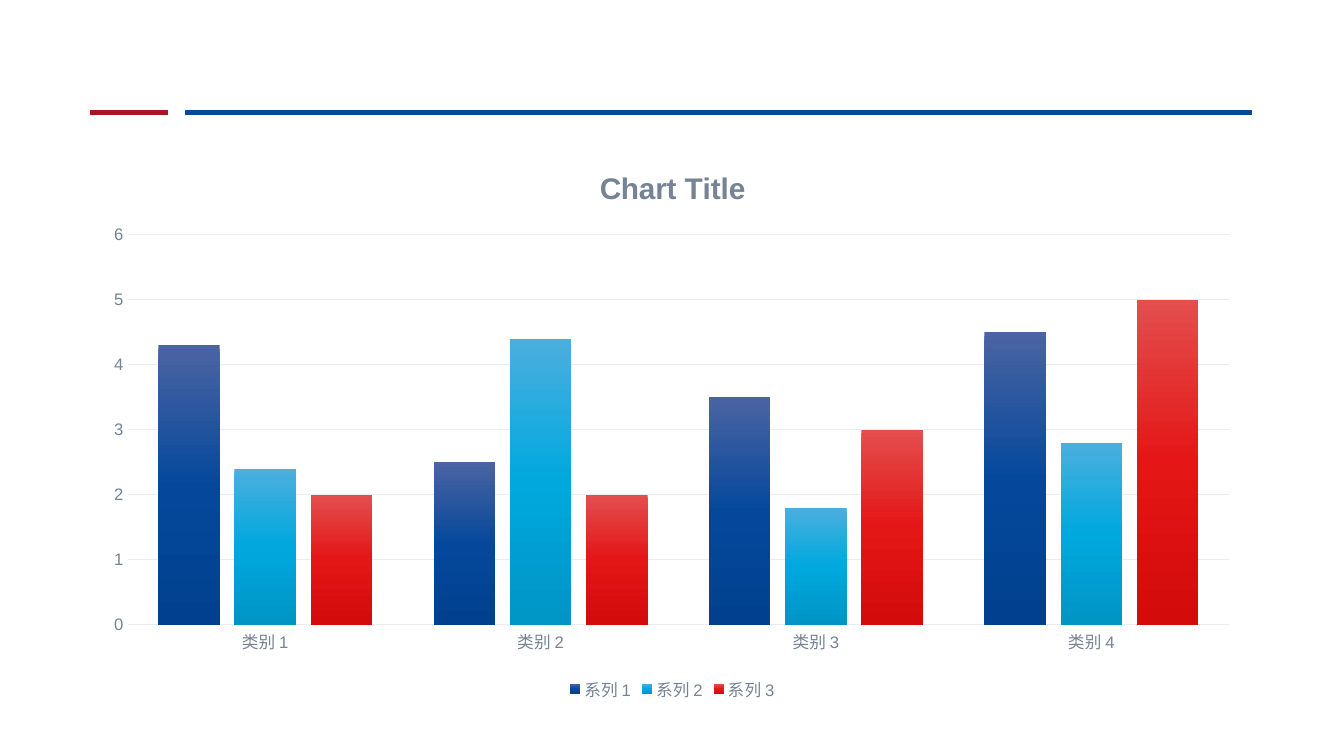
from copy import deepcopy
from dataclasses import dataclass

from pptx import Presentation
from pptx.chart.chart import Chart
from pptx.chart.data import CategoryChartData
from pptx.chart.series import BarSeries
from pptx.dml.color import RGBColor
from pptx.enum.chart import XL_CHART_TYPE, XL_LEGEND_POSITION, XL_TICK_MARK
from pptx.enum.shapes import MSO_CONNECTOR
from pptx.oxml import parse_xml
from pptx.oxml.ns import nsdecls, qn
from pptx.slide import Slide
from pptx.text.text import Font, TextFrame
from pptx.util import Inches, Pt


@dataclass(frozen=True)
class Theme:
    font: str = "Arial"
    text: str = "768395"
    grid: str = "EAECEF"
    red: str = "AE1324"
    blue: str = "0C4994"
    title_size: float = 21.3
    label_size: float = 11.9
    rule_width: float = 3.5
    grid_width: float = 0.75


@dataclass(frozen=True)
class Rule:
    left: float
    right: float
    color: str


@dataclass(frozen=True)
class Series:
    name: str
    values: tuple[float, ...]
    gradient: tuple[str, str, str]


THEME = Theme()
RULE_TOP = 1.12
RULES = (Rule(0.89, 1.67, THEME.red), Rule(1.84, 12.42, THEME.blue))
CATEGORIES = [f"类别 {number}" for number in range(1, 5)]
SERIES = (
    Series("系列 1", (4.3, 2.5, 3.5, 4.5), ("4B64A2", "05489B", "00408E")),
    Series("系列 2", (2.4, 4.4, 1.8, 2.8), ("4BAFDE", "00A8DE", "0095C5")),
    Series("系列 3", (2, 2, 3, 5), ("E44E4E", "E41616", "D30B0B")),
)
PLOT_AREA = {"x": 0.03, "y": 0.155, "w": 0.95, "h": 0.70}


def format_font(font: Font, *, size: float = THEME.label_size,
                color: str = THEME.text, bold: bool = False) -> None:
    font.name = THEME.font
    font.size = Pt(size)
    font.bold = bold
    font.color.rgb = RGBColor.from_string(color)


def write_text(frame: TextFrame, text: str, *, size: float, bold: bool) -> None:
    run = frame.paragraphs[0].add_run()
    run.text = text
    format_font(run.font, size=size, bold=bold)


def add_rule(slide: Slide, rule: Rule) -> None:
    connector = slide.shapes.add_connector(
        MSO_CONNECTOR.STRAIGHT, Inches(rule.left), Inches(RULE_TOP),
        Inches(rule.right), Inches(RULE_TOP))
    connector.line.color.rgb = RGBColor.from_string(rule.color)
    connector.line.width = Pt(THEME.rule_width)
    properties = connector._element.spPr
    properties.append(properties.makeelement(qn("a:effectLst"), {}))


def fill_gradient(series: BarSeries, colors: tuple[str, ...]) -> None:
    """Fill the bars from top to bottom with evenly spaced colours."""
    fill = series.format.fill
    fill.gradient()
    fill.gradient_angle = 270
    stop_list = series._element.xpath(".//a:gsLst")[0]
    while len(stop_list) < len(colors):
        stop_list.append(deepcopy(stop_list[0]))
    for index, (stop, color) in enumerate(zip(fill.gradient_stops, colors)):
        stop.position = index / (len(colors) - 1)
        stop.color.rgb = RGBColor.from_string(color)


def place_plot_area(chart: Chart) -> None:
    plot_area = chart._chartSpace.chart.plotArea
    for layout in plot_area.findall(qn("c:layout")):
        plot_area.remove(layout)
    modes = "".join(f'<c:{side}Mode val="edge"/>' for side in "xy")
    sizes = "".join(f'<c:{key} val="{value}"/>' for key, value in PLOT_AREA.items())
    plot_area.insert(0, parse_xml(
        f'<c:layout {nsdecls("c")}><c:manualLayout><c:layoutTarget val="inner"/>'
        f"{modes}{sizes}</c:manualLayout></c:layout>"))


def format_axes(chart: Chart) -> None:
    category_axis, value_axis = chart.category_axis, chart.value_axis
    for axis in (category_axis, value_axis):
        axis.major_tick_mark = axis.minor_tick_mark = XL_TICK_MARK.NONE
        format_font(axis.tick_labels.font)
    value_axis.minimum_scale, value_axis.maximum_scale = 0, 6
    value_axis.major_unit = 1
    value_axis.format.line.fill.background()
    for line in (category_axis.format.line, value_axis.major_gridlines.format.line):
        line.color.rgb = RGBColor.from_string(THEME.grid)
        line.width = Pt(THEME.grid_width)


def add_column_chart(slide: Slide) -> None:
    data = CategoryChartData()
    data.categories = CATEGORIES
    for item in SERIES:
        data.add_series(item.name, item.values)
    chart = slide.shapes.add_chart(
        XL_CHART_TYPE.COLUMN_CLUSTERED, Inches(0.92), Inches(1.47),
        Inches(11.5), Inches(5.53), data).chart
    format_font(chart.font)
    chart.has_title = True
    write_text(chart.chart_title.text_frame, "Chart Title",
               size=THEME.title_size, bold=True)
    chart.chart_title.include_in_layout = False
    chart.has_legend = True
    chart.legend.position = XL_LEGEND_POSITION.BOTTOM
    chart.legend.include_in_layout = False
    format_font(chart.legend.font)
    plot = chart.plots[0]
    plot.gap_width, plot.overlap = 100, -24
    plot.vary_by_categories = False
    for series, item in zip(plot.series, SERIES):
        fill_gradient(series, item.gradient)
    format_axes(chart)
    place_plot_area(chart)


def main() -> None:
    presentation = Presentation()
    presentation.slide_width = Inches(13.33)
    presentation.slide_height = Inches(7.5)
    blank_layout = presentation.slide_layouts[6]
    slide = presentation.slides.add_slide(blank_layout)
    for rule in RULES:
        add_rule(slide, rule)
    add_column_chart(slide)
    presentation.save("out.pptx")


if __name__ == "__main__":
    main()
